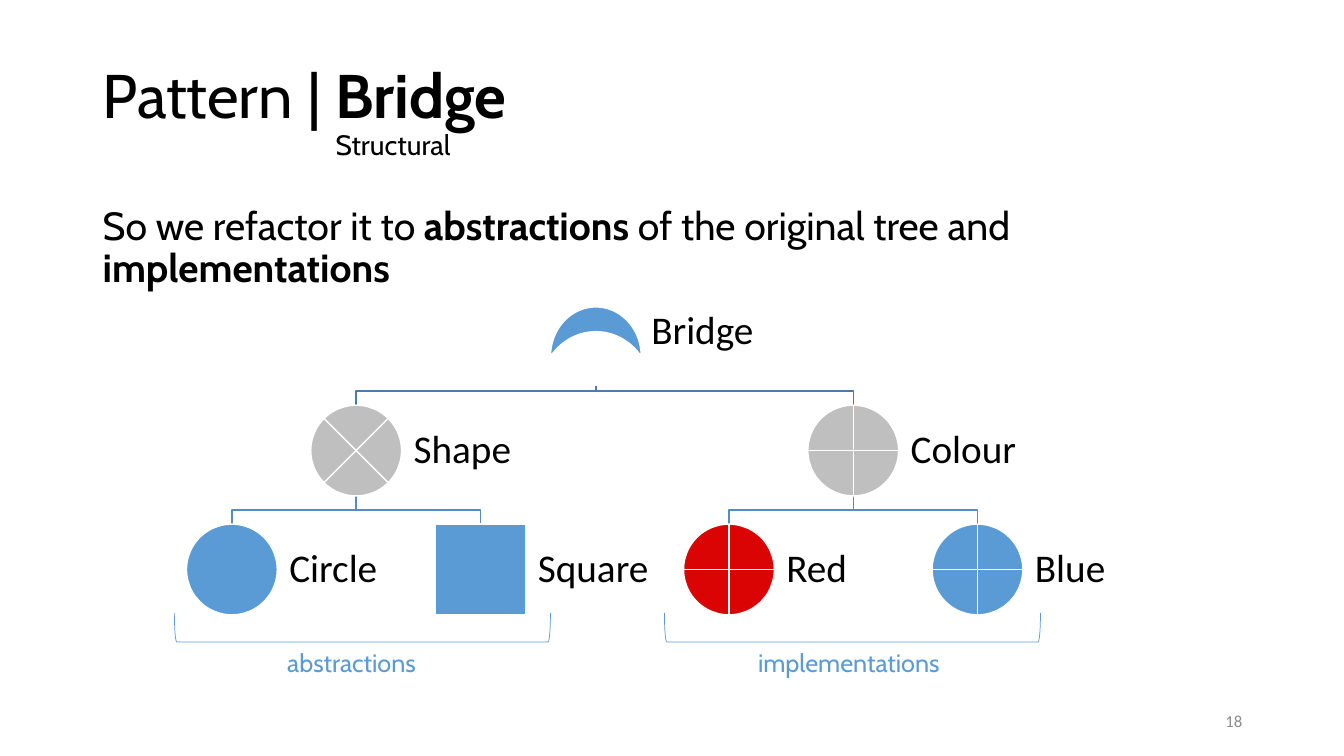
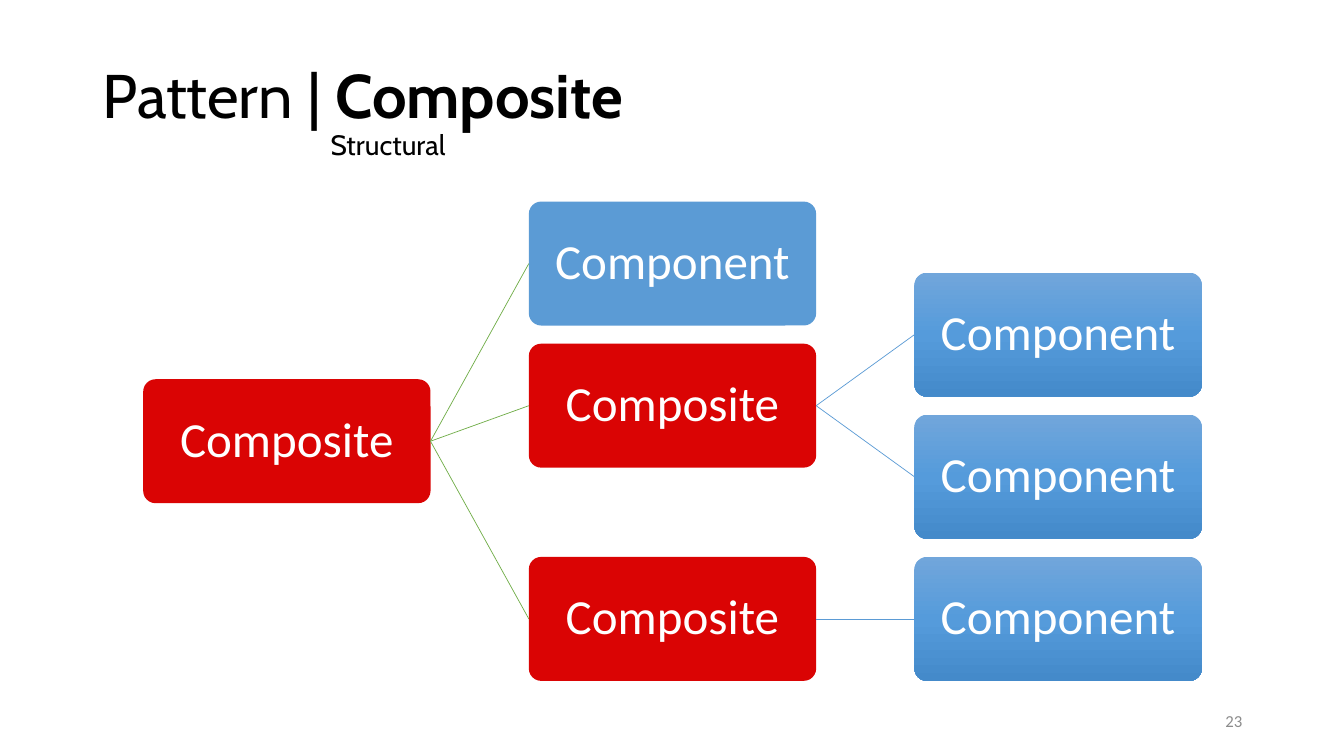
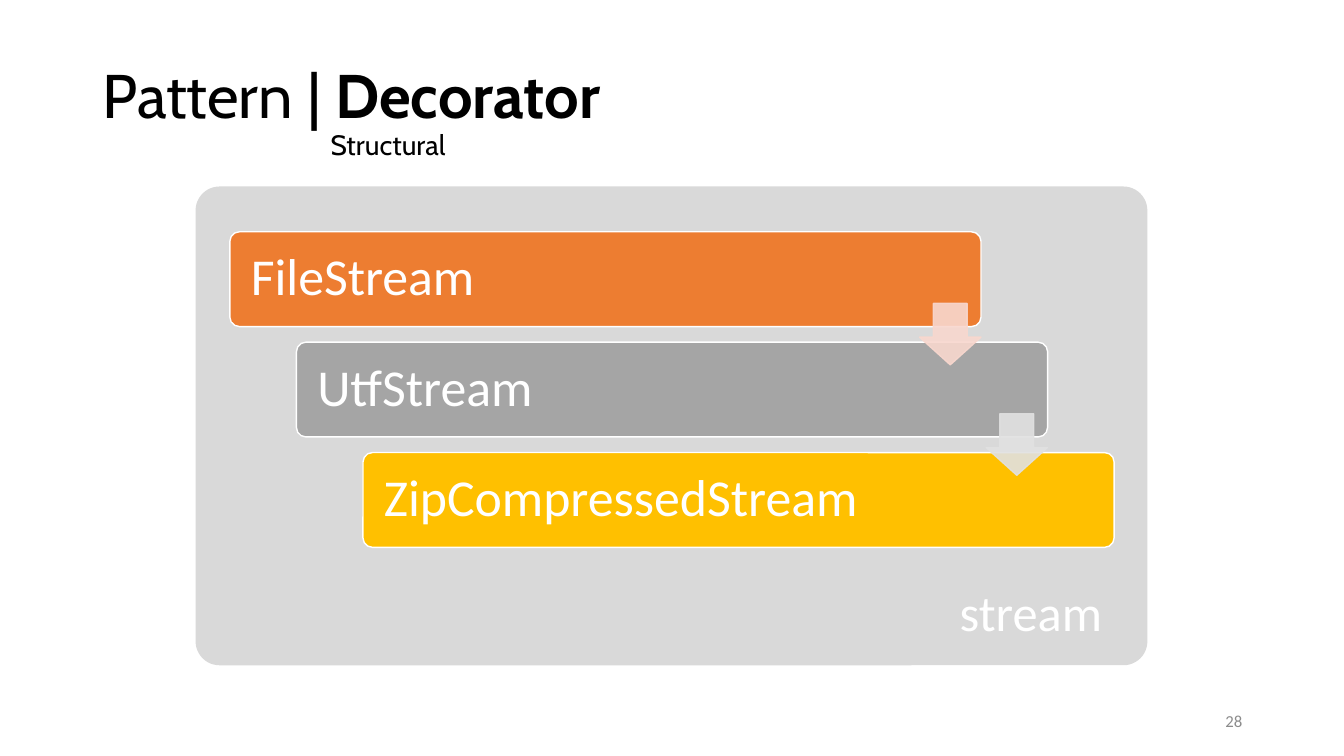
"""Build three slides on structural design patterns."""
import copy

import pptx
import pptx.dml.color
import pptx.enum.shapes
import pptx.enum.text
import pptx.oxml
import pptx.oxml.ns
import pptx.util
from lxml import etree

Inches = pptx.util.Inches
Pt = pptx.util.Pt
qn = pptx.oxml.ns.qn
Kind = pptx.enum.shapes.MSO_SHAPE
Align = pptx.enum.text.PP_ALIGN
Anchor = pptx.enum.text.MSO_ANCHOR


class Theme:
    """Colours, fonts and type sizes."""
    black, white, number_grey = "000000", "FFFFFF", "8C8C8C"
    blue, red, green, orange, yellow = "5B9BD5", "DA0404", "70AD47", "ED7D31", "FFC000"
    grey, light_grey, panel_grey = "A5A5A5", "BFBFBF", "D9D9D9"
    root_line, branch_line = "497CAB", "538DC1"
    pale_orange, pale_grey = "F8D7CE", "E1E1E1"
    blue_gradient = ((0, "71A6DB"), (0.5, "559BDB"), (1, "448ACA"))
    heading_font, label_font = "Cabin", "Calibri"
    title, subtitle, body, caption, number = 44, 20, 28, 18, 12
    node, bar, panel = 35, 37, 36


def apply(target, values):
    """Set each named attribute of the target."""
    for name, value in values.items():
        setattr(target, name, value)


def rgb(colour):
    """Return the colour object for a hex string."""
    return pptx.dml.color.RGBColor.from_string(colour)


class Slides:
    """Hold the deck, its style and the current page."""

    def __init__(self, theme):
        self.theme = theme
        self.deck = pptx.Presentation()
        apply(self.deck, {"slide_width": Inches(13.33), "slide_height": Inches(7.5)})
        self.page = None

    def new_page(self, pattern, number, tab):
        """Start a page with its title and number."""
        theme = self.theme
        self.page = self.deck.slides.add_slide(self.deck.slide_layouts[6])
        box = self.text(0.92, 0.4, 11.5, 1.45, [("Pattern | ", False), (pattern, True)],
                        theme.title, font=theme.heading_font, anchor=Anchor.MIDDLE, spacing=0.9)
        para = box.text_frame.paragraphs[0]
        tabs = etree.SubElement(para._p.get_or_add_pPr(), qn("a:tabLst"))
        etree.SubElement(tabs, qn("a:tab"), pos=str(Inches(tab)), algn="l")
        para.add_line_break()
        self.span(para, "\tStructural", theme.subtitle, theme.black, theme.heading_font)
        self.text(9.42, 6.95, 3, 0.4, [(str(number), False)], theme.number,
                  colour=theme.number_grey, anchor=Anchor.MIDDLE, align=Align.RIGHT)

    def span(self, para, words, size, colour, font, bold=False):
        """Add one run of text."""
        span = para.add_run()
        span.text = words
        apply(span.font, {"size": Pt(size), "name": font, "bold": bold})
        span.font.color.rgb = rgb(colour)

    def set_text(self, shape, spans, size, colour, font, anchor, align, margin=None, spacing=1.0):
        """Put one paragraph in a shape."""
        frame = shape.text_frame
        apply(frame, {"word_wrap": True, "vertical_anchor": anchor})
        if margin is not None:
            sides = ("left", "right", "top", "bottom")
            apply(frame, {f"margin_{side}": Inches(margin) for side in sides})
        para = frame.paragraphs[0]
        apply(para, {"alignment": align, "line_spacing": spacing})
        for words, bold in spans:
            self.span(para, words, size, colour, font, bold)

    def text(self, left, top, width, height, spans, size, colour=Theme.black,
             font=Theme.label_font, anchor=Anchor.TOP, align=Align.LEFT, margin=None, spacing=1.0):
        """Add a text box."""
        box = self.page.shapes.add_textbox(*map(Inches, (left, top, width, height)))
        self.set_text(box, spans, size, colour, font, anchor, align, margin, spacing)
        return box

    def shape(self, kind, left, top, width, height, fill=None, line=None, weight=1,
              adjust=(), rotation=0):
        """Add a preset shape."""
        shape = self.page.shapes.add_shape(kind, *map(Inches, (left, top, width, height)))
        shape.rotation = rotation
        for index, value in enumerate(adjust):
            shape.adjustments[index] = value
        self.paint(shape, fill, line, weight)
        return shape

    def paint(self, shape, fill, line, weight):
        """Set fill and outline, and drop the shadow."""
        shape.shadow.inherit = False
        if fill is None:
            shape.fill.background()
        elif isinstance(fill, str):
            shape.fill.solid()
            shape.fill.fore_color.rgb = rgb(fill)
        else:
            self.gradient(shape, fill)
        if line is None:
            shape.line.fill.background()
        else:
            shape.line.color.rgb = rgb(line)
            shape.line.width = Pt(weight)

    def gradient(self, shape, stops):
        """Fill a shape from top to bottom with the given stops."""
        shape.fill.gradient()
        shape.fill.gradient_angle = 270
        stop_list = shape._element.spPr.find(".//" + qn("a:gsLst"))
        while len(stop_list) < len(stops):
            stop_list.append(copy.deepcopy(stop_list[0]))
        for stop, (position, colour) in zip(shape.fill.gradient_stops, stops):
            stop.position = position
            stop.color.rgb = rgb(colour)

    def fade(self, shape, percent):
        """Set the opacity of fill and outline."""
        for colour in shape._element.spPr.iter(qn("a:srgbClr")):
            etree.SubElement(colour, qn("a:alpha"), val=str(percent * 1000))

    def label(self, shape, words, size, align=Align.CENTER, margin=0.06):
        """Put white text in a shape."""
        self.set_text(shape, [(words, False)], size, self.theme.white, self.theme.label_font,
                      Anchor.MIDDLE, align, margin, 0.9)

    def line(self, start, end, colour):
        """Draw a thin straight line."""
        straight = pptx.enum.shapes.MSO_CONNECTOR.STRAIGHT
        line = self.page.shapes.add_connector(straight, *map(Inches, (*start, *end)))
        line.line.color.rgb = rgb(colour)
        line.line.width = Pt(0.5)
        etree.SubElement(line._element.spPr, qn("a:effectLst"))

    def branch(self, start, end, colour):
        """Draw a stepped line from a parent down to a child."""
        bend = end[1] - 0.14
        points = [(start[0], bend), (end[0], bend), end]
        builder = self.page.shapes.build_freeform(*map(Inches, start), scale=1.0)
        builder.add_line_segments([tuple(map(Inches, point)) for point in points], close=False)
        self.paint(builder.convert_to_shape(), None, colour, 1)


def bridge(slides):
    """Draw the tree of abstractions and implementations."""
    theme = slides.theme
    slides.new_page("Bridge", 18, 2.31)
    size, first, step = 0.9, 2.3, 2.465
    tops = [2.84 + 1.18 * row for row in range(3)]
    nodes = {
        "Bridge": (5.91, 0, Kind.MOON, theme.blue, None),
        "Shape": (first + step / 2, 1, Kind.FLOWCHART_SUMMING_JUNCTION, theme.light_grey, "Bridge"),
        "Colour": (first + step * 2.5, 1, Kind.FLOWCHART_OR, theme.light_grey, "Bridge"),
        "Circle": (first, 2, Kind.OVAL, theme.blue, "Shape"),
        "Square": (first + step, 2, Kind.RECTANGLE, theme.blue, "Shape"),
        "Red": (first + step * 2, 2, Kind.FLOWCHART_OR, theme.red, "Colour"),
        "Blue": (first + step * 3, 2, Kind.FLOWCHART_OR, theme.blue, "Colour"),
    }
    for centre, row, _, _, parent in nodes.values():
        if parent:
            colour = theme.root_line if row == 1 else theme.branch_line
            start = (nodes[parent][0], tops[row - 1] + size + (0.09 if row == 1 else 0))
            slides.branch(start, (centre, tops[row]), colour)
    for name, (centre, row, kind, fill, parent) in nodes.items():
        width, rotation = (size, 0) if parent else (0.49, 90)
        label_left = centre + size / 2 if parent else 6.34
        slides.shape(kind, centre - width / 2, tops[row], width, size, fill, theme.white,
                     rotation=rotation)
        slides.text(label_left, tops[row], 1.34, size, [(name, False)], theme.body,
                    anchor=Anchor.MIDDLE, margin=0.12, spacing=0.9)
    statement = [("So we refactor it to ", False), ("abstractions", True),
                 (" of the original tree and ", False), ("implementations", True)]
    slides.text(0.92, 2, 11.5, 1.44, statement, theme.body, font=theme.heading_font, spacing=0.9)
    for name, bracket_left, left, width in (("abstractions", 3.45, 2.75, 1.55),
                                            ("implementations", 8.31, 7.42, 2.07)):
        slides.shape(Kind.LEFT_BRACKET, bracket_left, 4.36, 0.29, 3.73, line=theme.blue,
                     weight=0.5, rotation=270)
        slides.text(left, 6.37, width, 0.4, [(name, False)], theme.caption, theme.blue,
                    theme.heading_font)


def composite(slides):
    """Draw the tree of composites and components."""
    theme = slides.theme
    slides.new_page("Composite", 23, 2.26)
    width, height = 2.85, 1.23
    nodes = [
        ("Composite", 0, 2.5, theme.red, None),
        ("Component", 1, 0, theme.blue, 0),
        ("Composite", 1, 2, theme.red, 0),
        ("Composite", 1, 5, theme.red, 0),
        ("Component", 2, 1, theme.blue_gradient, 2),
        ("Component", 2, 3, theme.blue_gradient, 2),
        ("Component", 2, 5, theme.blue_gradient, 3),
    ]
    places = [(1.42 + 3.825 * column, 2 + 0.705 * row) for _, column, row, _, _ in nodes]
    for (name, column, _, fill, parent), (left, top) in zip(nodes, places):
        if parent is not None:
            parent_left, parent_top = places[parent]
            slides.line((parent_left + width, parent_top + height / 2), (left, top + height / 2),
                        theme.green if column == 1 else theme.blue)
        node = slides.shape(Kind.ROUNDED_RECTANGLE, left, top, width, height, fill, adjust=[0.1])
        slides.label(node, name, theme.node)


def decorator(slides):
    """Draw the chain of wrapped streams."""
    theme = slides.theme
    slides.new_page("Decorator", 28, 2.26)
    slides.shape(Kind.ROUNDED_RECTANGLE, 1.94, 1.85, 9.44, 4.75, theme.panel_grey, adjust=[0.05])
    right, down = 0.66, 1.095
    bars = [("FileStream", theme.orange), ("UtfStream", theme.grey),
            ("ZipCompressedStream", theme.yellow)]
    for index, (name, fill) in enumerate(bars):
        bar = slides.shape(Kind.ROUNDED_RECTANGLE, 2.28 + right * index, 2.3 + down * index,
                           7.45, 0.94, fill, theme.white, adjust=[0.1])
        slides.label(bar, name, theme.bar, Align.LEFT, 0.18)
    for index, colour in enumerate((theme.pale_orange, theme.pale_grey)):
        arrow = slides.shape(Kind.DOWN_ARROW, 9.12 + right * index, 3.01 + down * index,
                             0.61, 0.61, colour, colour, adjust=[0.55, 0.45])
        slides.fade(arrow, 90)
    slides.text(9.42, 5.72, 1.97, 0.71, [("stream", False)], theme.panel, theme.white)


def main():
    """Build and save the deck."""
    slides = Slides(Theme())
    for build in (bridge, composite, decorator):
        build(slides)
    slides.deck.save("out.pptx")


if __name__ == "__main__":
    main()
